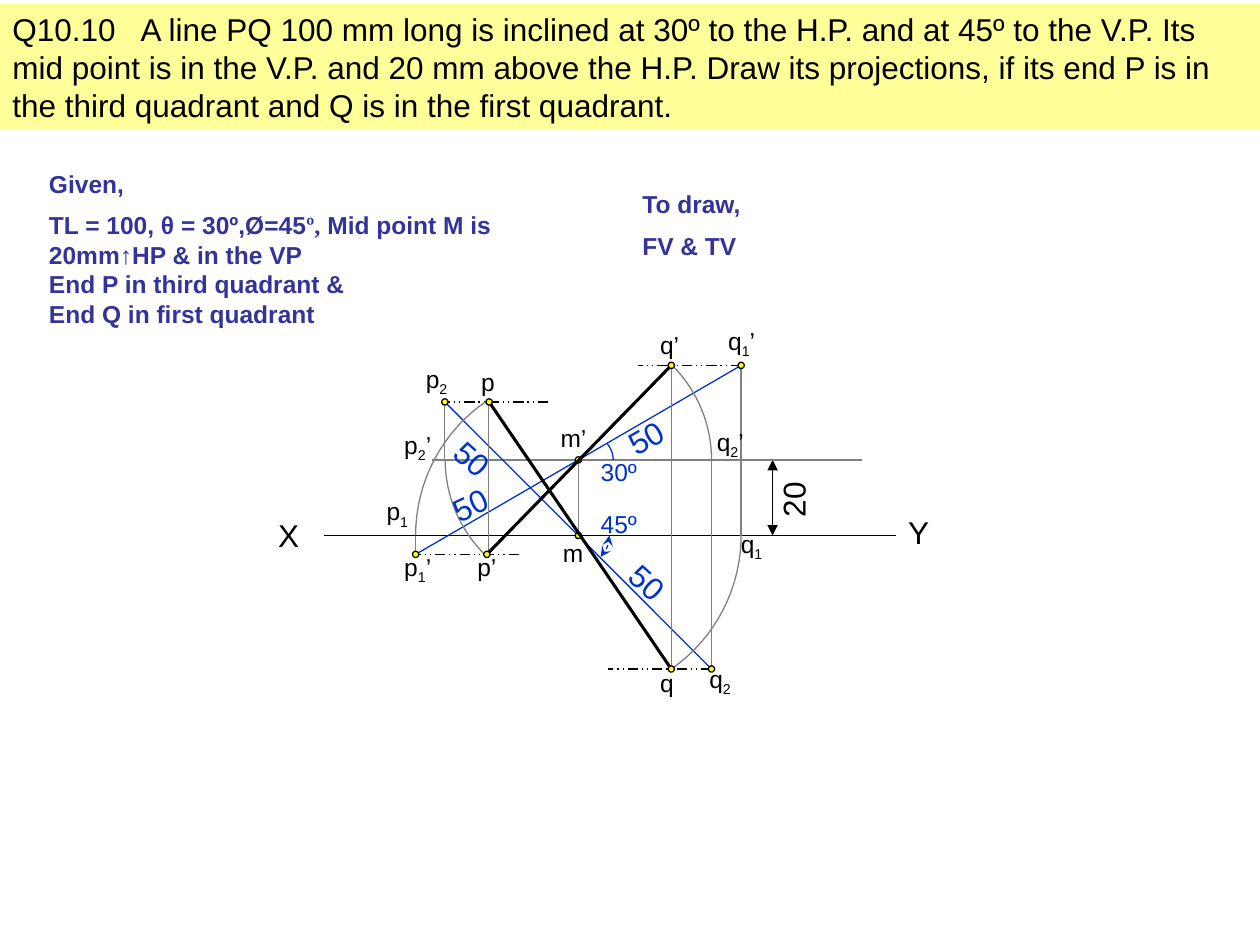
from dataclasses import dataclass
from math import cos, radians, sin

from lxml import etree
from pptx import Presentation
from pptx.dml.color import RGBColor
from pptx.enum.dml import MSO_LINE
from pptx.enum.shapes import MSO_CONNECTOR, MSO_SHAPE
from pptx.enum.text import MSO_ANCHOR, MSO_AUTO_SIZE, PP_ALIGN
from pptx.oxml.ns import qn
from pptx.util import Pt

STRAIGHT = MSO_CONNECTOR.STRAIGHT
RECTANGLE, OVAL = MSO_SHAPE.RECTANGLE, MSO_SHAPE.OVAL
DASH = MSO_LINE.DASH_DOT_DOT
LEFT, TOP = PP_ALIGN.LEFT, MSO_ANCHOR.TOP
FIT_TEXT = MSO_AUTO_SIZE.SHAPE_TO_FIT_TEXT
BLACK, GREY, BLUE, NAVY = "000000", "808080", "0033CC", "333399"
YELLOW, CREAM = "FFFF00", "FFFF99"
DOT = 3.6
ARC_STEPS = 16

Point = tuple[float, float]

# Heights and projector positions on the drawing, in points
X_M, X_P, X_Q = 330.5, 279.2, 383.6
X_P1, X_P2, X_Q1, X_Q2 = 237.5, 254.2, 423.5, 406.6
Y_Q_FRONT, Y_P_TOP, Y_MID, Y_XY, Y_P_FRONT, Y_Q_TOP = 208.8, 229.7, 262.8, 306, 316.8, 382.3

M_FRONT, M_TOP = (X_M, Y_MID), (X_M, Y_XY)
P_FRONT, Q_FRONT = (278.2, Y_P_FRONT), (X_Q, Y_Q_FRONT)
P_TOP, Q_TOP = (279.5, Y_P_TOP), (X_Q, Y_Q_TOP)
P1_FRONT, Q1_FRONT = (X_P1, Y_P_FRONT), (X_Q1, Y_Q_FRONT)
P2_TOP, Q2_TOP = (X_P2, Y_P_TOP), (X_Q2, Y_Q_TOP)


@dataclass
class Run:
    text: str
    font: str = "Arial"
    baseline: int = 0


@dataclass
class Line:
    start: Point
    end: Point
    color: str = GREY
    width: float = 0.75
    dash: MSO_LINE | None = None
    arrow: str = ""


@dataclass
class Arc:
    """Angles run clockwise from the right, in degrees."""
    centre: Point
    radius: float
    first: float
    last: float
    color: str = GREY
    arrow: str = ""


@dataclass
class Label:
    left: float
    top: float
    text: str
    sub: str = ""
    prime: str = ""
    size: float = 14
    width: float = 32.4
    color: str = BLACK
    rotation: float = 0


LINES = [
    Line((185, Y_XY), (512, Y_XY), BLACK),
    Line((441.5, Y_MID), (441.5, Y_XY), BLACK, arrow="triangle"),
    Line((492.5, Y_MID), (247, Y_MID)),
    Line(M_FRONT, M_TOP),
    Line(P1_FRONT, Q1_FRONT, BLUE),
    Line(P2_TOP, Q2_TOP, BLUE),
    Line(Q2_TOP, (X_Q2, Y_MID)),
    Line(P2_TOP, (X_P2, Y_MID)),
    Line(Q1_FRONT, (X_Q1, Y_XY)),
    Line(P1_FRONT, (X_P1, Y_XY)),
    Line(Q_FRONT, Q_TOP),
    Line((X_P, Y_P_FRONT), (X_P, Y_P_TOP)),
] + [Line((x, y), (x - 59, y), BLACK, dash=DASH) for x, y in (
    Q1_FRONT, Q2_TOP, (X_P1 + 59, Y_P_FRONT), (X_P2 + 59, Y_P_TOP))]
VIEWS = [Line(Q_FRONT, P_FRONT, BLACK, 1.75), Line(Q_TOP, P_TOP, BLACK, 1.75)]

ARCS = [
    Arc(M_FRONT, 76.1, -45, 0),
    Arc(M_FRONT, 76.1, 135, 180),
    Arc(M_TOP, 93, 0, 55.1),
    Arc(M_TOP, 93, 180, 235.7),
    Arc((336.2, Y_MID), 14.2, -41, 0, BLUE),
    Arc((331, Y_XY), 17.3, 0, 45, BLUE, "stealth"),
]

ENDS = [P_FRONT, Q_FRONT, P_TOP, Q_TOP, P1_FRONT, Q1_FRONT, P2_TOP, Q2_TOP]

LABELS = [
    Label(151.9, 291.6, "X", size=18),
    Label(511.9, 289.4, "Y", size=18, width=38.2),
    Label(432, 267.1, "20", size=18, width=42.5, rotation=270),
    Label(313.2, 238.3, "m’"),
    Label(314.6, 303.8, "m"),
    Label(409, 182.9, "q", "1", "’"),
    Label(223.9, 311.8, "p", "1", "’"),
    Label(398.2, 375.8, "q", "2"),
    Label(236.2, 204.5, "p", "2"),
    Label(402.5, 240.5, "q", "2", "’"),
    Label(370.1, 185, "q’"),
    Label(265.7, 311.8, "p’"),
    Label(370.1, 378, "q"),
    Label(267.8, 205.9, "p"),
    Label(416.2, 298.8, "q", "1"),
    Label(213.8, 280.1, "p", "1"),
    Label(223.9, 241.9, "p", "2", "’"),
    Label(336.2, 257.8, "30º", width=37.4, color=BLUE),
    Label(336.2, 287.3, "45º", width=37.4, color=BLUE),
] + [Label(x, y, "50", size=18, width=51.8, color=BLUE, rotation=angle) for x, y, angle in (
    (350.6, 231.1, 330.1), (250.6, 270, 334.7), (350.6, 324, 42), (250.6, 253.4, 41.7))]


def rgb(color: str) -> RGBColor:
    return RGBColor.from_string(color)


def style_line(sp, color: str, width: float = 0.75, arrow: str = "") -> None:
    sp.line.color.rgb = rgb(color)
    sp.line.width = Pt(width)
    if arrow:
        for end in ("a:headEnd", "a:tailEnd"):
            etree.SubElement(sp.line._get_or_add_ln(), qn(end), type=arrow)


def draw_line(shapes, line: Line) -> None:
    cxn = shapes.add_connector(STRAIGHT, *map(Pt, line.start + line.end))
    if line.dash:
        cxn.line.dash_style = line.dash
    style_line(cxn, line.color, line.width, line.arrow)
    etree.SubElement(cxn._element.spPr, qn("a:effectLst"))


def draw_arc(shapes, arc: Arc) -> None:
    """Draw an open arc whose frame reaches to its centre."""
    x, y = arc.centre
    step = (arc.last - arc.first) / ARC_STEPS
    angles = [radians(arc.first + i * step) for i in range(ARC_STEPS + 1)]
    points = [(Pt(x + arc.radius * cos(a)), Pt(y + arc.radius * sin(a))) for a in angles]
    builder = shapes.build_freeform(Pt(x), Pt(y))
    builder.move_to(*points[0])
    builder.add_line_segments(points[1:], close=False)
    sp = builder.convert_to_shape()
    sp.shadow.inherit = False
    sp.fill.background()
    style_line(sp, arc.color, arrow=arc.arrow)


def add_filled(shapes, kind: MSO_SHAPE, box: tuple[float, ...], color: str):
    sp = shapes.add_shape(kind, *map(Pt, box))
    sp.shadow.inherit = False
    sp.fill.solid()
    sp.fill.fore_color.rgb = rgb(color)
    return sp


def draw_dot(shapes, centre: Point) -> None:
    x, y = centre
    style_line(add_filled(shapes, OVAL, (x - DOT / 2, y - DOT / 2, DOT, DOT), YELLOW), BLACK)


def write(sp, paragraphs: list[list[Run]], size: float, color: str, bold: bool = False) -> None:
    tf = sp.text_frame
    for name, value in {"word_wrap": True, "auto_size": FIT_TEXT, "vertical_anchor": TOP}.items():
        setattr(tf, name, value)
    for i, runs in enumerate(paragraphs):
        p = tf.add_paragraph() if i else tf.paragraphs[0]
        p.alignment = LEFT
        p.space_before = Pt(7 if i == 1 else 0)
        for run in runs:
            r = p.add_run()
            r.text = run.text
            for name, value in {"name": run.font, "size": Pt(size), "bold": bold}.items():
                setattr(r.font, name, value)
            r.font.color.rgb = rgb(color)
            if run.baseline:
                r._r.get_or_add_rPr().set("baseline", str(run.baseline))


def draw_label(shapes, label: Label) -> None:
    height = label.size * 1.2 + 7.2
    sp = shapes.add_textbox(*map(Pt, (label.left, label.top, label.width, height)))
    sp.rotation = label.rotation
    runs = [Run(label.text), Run(label.sub, baseline=-25000), Run(label.prime)]
    write(sp, [[run for run in runs if run.text]], label.size, label.color)


def draw_question(shapes) -> None:
    sp = add_filled(shapes, RECTANGLE, (0, 2.2, 720, 72), CREAM)
    sp.line.fill.background()
    text = ("Q10.10\tA line PQ 100 mm long is inclined at 30º to the H.P. and at 45º to the V.P. "
            "Its mid point is in the V.P. and 20 mm above the H.P. Draw its projections, if its "
            "end P is in the third quadrant and Q is in the first quadrant.")
    write(sp, [[Run(text)]], 18, BLACK)
    tabs = etree.SubElement(sp.text_frame.paragraphs[0]._p.get_or_add_pPr(), qn("a:tabLst"))
    etree.SubElement(tabs, qn("a:tab"), pos=str(int(Pt(73.3))), algn="l")


def main() -> None:
    prs = Presentation()
    prs.slide_width, prs.slide_height = Pt(720), Pt(540)
    shapes = prs.slides.add_slide(prs.slide_layouts[6]).shapes
    draw_question(shapes)
    given = [[Run("Given,")],
             [Run("TL = 100, θ = 30º,Ø=45"), Run("º,", "Times New Roman"),
              Run(" Mid point M is 20mm↑HP & in the VP")],
             [Run("End P in third quadrant &")], [Run("End Q in first quadrant")]]
    to_draw = [[Run("To draw,")], [Run("FV & TV")]]
    for box, paragraphs in (((20.9, 92.9, 267.8, 99.4), given), ((360, 104.4, 110.9, 49), to_draw)):
        write(shapes.add_textbox(*map(Pt, box)), paragraphs, 14, NAVY, bold=True)
    for draw, items in ((draw_line, LINES), (draw_arc, ARCS), (draw_dot, [M_FRONT, M_TOP]),
                        (draw_line, VIEWS), (draw_dot, ENDS), (draw_label, LABELS)):
        for item in items:
            draw(shapes, item)
    prs.save("out.pptx")


if __name__ == "__main__":
    main()
